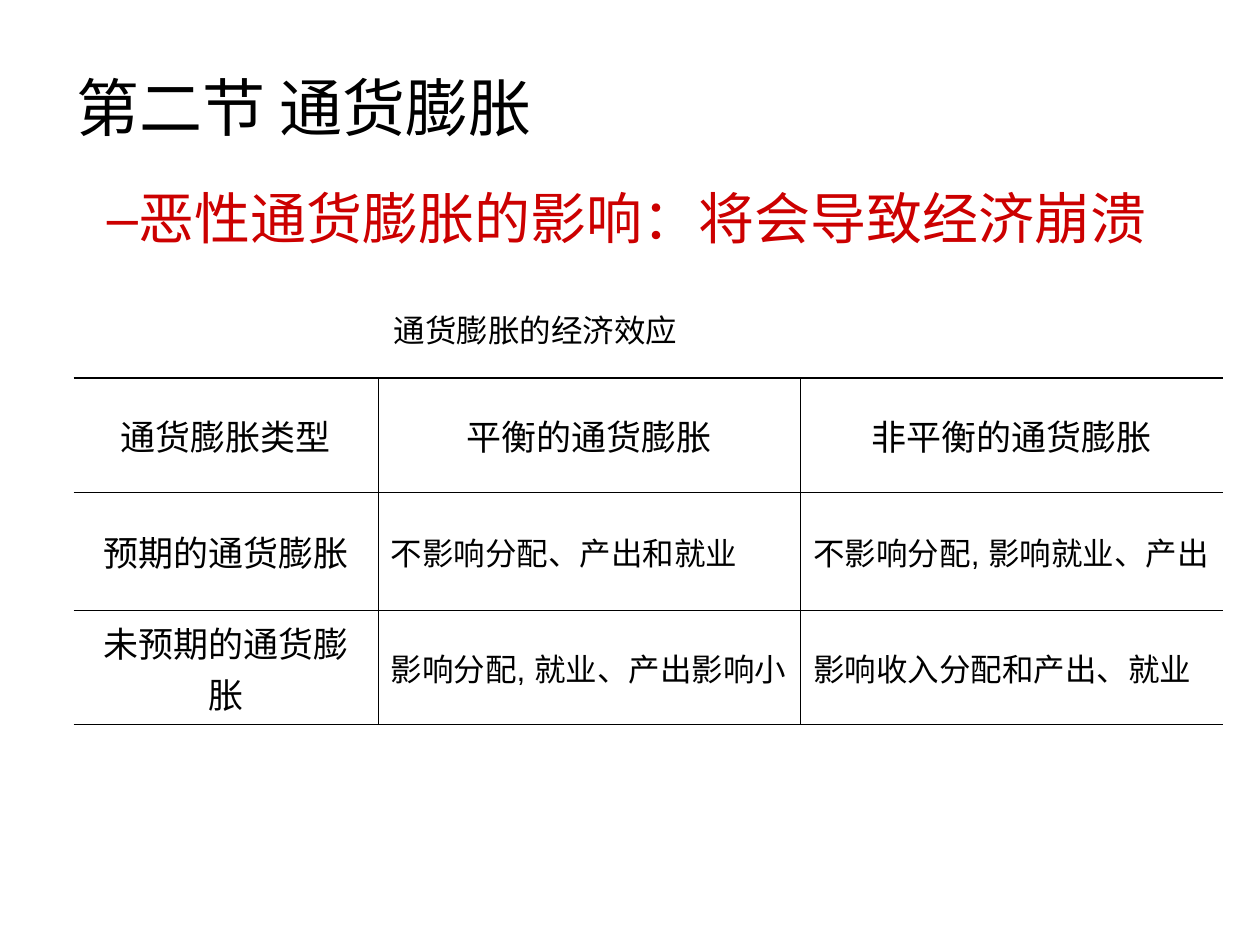
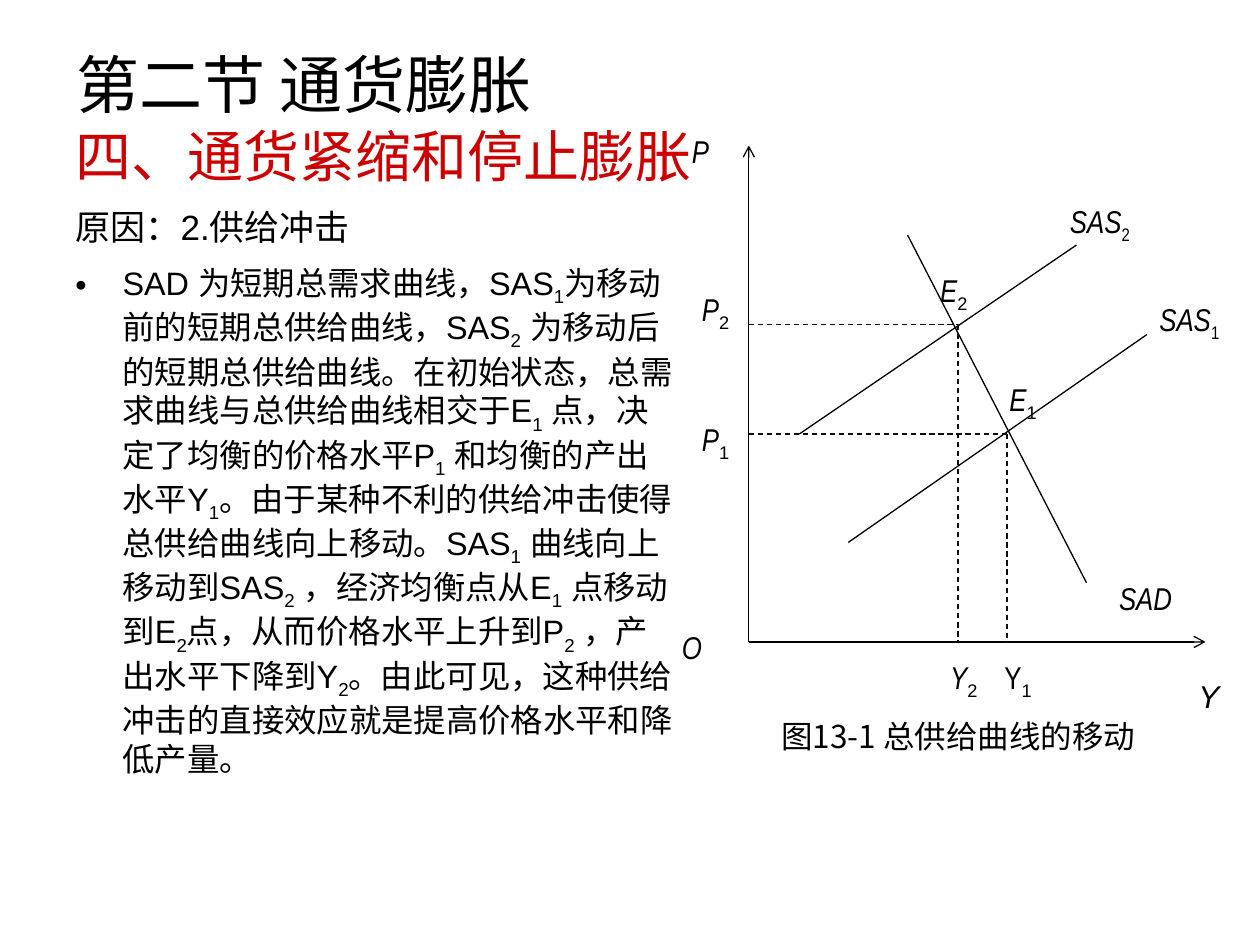
from lxml import etree
from pptx import Presentation
from pptx.dml.color import RGBColor
from pptx.enum.dml import MSO_LINE
from pptx.enum.shapes import MSO_CONNECTOR
from pptx.enum.text import MSO_ANCHOR, PP_ALIGN
from pptx.oxml.ns import qn
from pptx.util import Inches, Pt

MIDDLE, TOP = MSO_ANCHOR.MIDDLE, MSO_ANCHOR.TOP
LEFT, CENTER = PP_ALIGN.LEFT, PP_ALIGN.CENTER
STRAIGHT, DASH = MSO_CONNECTOR.STRAIGHT, MSO_LINE.DASH
ARIAL, NARROW, HAN = "Arial", "Arial Narrow", "Noto Sans CJK SC"
BLACK, RED, GREY = "000000", "CC0000", "0D0D0D"
COLS, ROWS = 100, 75  # slide grid, one unit is a tenth of an inch
THIN, THICK = 0.45, 1.08
TITLE = "第二节 通货膨胀"

HEADS = ["通货膨胀类型", "平衡的通货膨胀", "非平衡的通货膨胀"]
EFFECTS = [
    HEADS,
    ["预期的通货膨胀", "不影响分配、产出和就业", "不影响分配, 影响就业、产出"],
    ["未预期的通货膨胀", "影响分配, 就业、产出影响小", "影响收入分配和产出、就业"],
]
# Every second part between bars is a subscript.
CAUSE = (
    "SAD 为短期总需求曲线，SAS|1|为移动前的短期总供给曲线，SAS|2| 为移动后的"
    "短期总供给曲线。在初始状态，总需求曲线与总供给曲线相交于E|1| 点，决定了均衡的"
    "价格水平P|1| 和均衡的产出水平Y|1|。由于某种不利的供给冲击使得总供给曲线向上移动。"
    "SAS|1| 曲线向上移动到SAS|2| ，经济均衡点从E|1| 点移动到E|2|点，从而价格水平上升到"
    "P|2| ，产出水平下降到Y|2|。由此可见，这种供给冲击的直接效应就是提高价格水平和降低产量。"
)

# Distances right of and above the origin of the graph.
CURVES = [((7.9, 7.9), (31.6, 24.4)),
          ((12.6, 32.3), (26.8, 4.7)),
          ((4, 16.5), (26, 31.5))]
POINTS = [(16.6, 25.2), (20.5, 16.5)]
LABELS = [
    ("O", -6.3, 1.6, NARROW), ("P", -5.5, 41, NARROW),
    ("Y", 34.7, -2.3, ARIAL), ("SAD", 28.4, 5.5, NARROW),
    ("SAS|1", 31.6, 27.6, NARROW), ("SAS|2", 24.5, 35.4, NARROW),
    ("P|1", -4.7, 18.1, ARIAL), ("P|2", -4.7, 28.4, ARIAL),
    ("E|1", 19.7, 21.3, ARIAL), ("E|2", 14.2, 29.9, ARIAL),
    ("Y|2", 15, -0.8, ARIAL), ("Y|1", 19.3, -0.8, ARIAL),
]


def unit(n):
    return Inches(n / 10)


def color(text):
    return RGBColor.from_string(text)


def style(run, size, font, tint=BLACK, slant=False):
    run.font.size = Pt(size)
    run.font.name = font
    run.font.italic = slant
    run.font.color.rgb = color(tint)
    etree.SubElement(run._r.get_or_add_rPr(), qn("a:ea"), typeface=HAN)


def lower(run):
    run._r.get_or_add_rPr().set("baseline", "-25000")


def write(slide, box, text, size, font=ARIAL, tint=BLACK, anchor=TOP):
    """Add a text box and return its paragraph."""
    frame = slide.shapes.add_textbox(*map(unit, box)).text_frame
    frame.word_wrap = True
    frame.vertical_anchor = anchor
    para = frame.paragraphs[0]
    para.text = text
    for run in para.runs:
        style(run, size, font, tint)
    return para


def bullet(para, mark, tint, indent):
    props = para._p.get_or_add_pPr()
    props.set("marL", str(unit(indent)))
    props.set("indent", str(-unit(indent)))
    tone = etree.SubElement(props, qn("a:buClr"))
    etree.SubElement(tone, qn("a:srgbClr"), val=tint)
    etree.SubElement(props, qn("a:buFont"), typeface=ARIAL)
    etree.SubElement(props, qn("a:buChar"), char=mark)


def title(slide, top):
    write(slide, (5.1, top, 90, 9.4), TITLE, 36, HAN, anchor=MIDDLE)


def border(cell, side, width):
    props = cell._tc.get_or_add_tcPr()
    line = etree.SubElement(props, qn("a:ln" + side), w=str(Pt(width)))
    if width:
        fill = etree.SubElement(line, qn("a:solidFill"))
        etree.SubElement(fill, qn("a:srgbClr"), val=BLACK)
    else:
        etree.SubElement(line, qn("a:noFill"))


def grid(slide, box, rows, widths, heights):
    table = slide.shapes.add_table(
        len(rows), len(widths), *map(unit, box)).table
    for col, width in zip(table.columns, widths):
        col.width = unit(width)
    for row, height in zip(table.rows, heights):
        row.height = unit(height)
    last, end = len(rows) - 1, len(widths) - 1
    for r, texts in enumerate(rows):
        for c, text in enumerate(texts):
            cell = table.cell(r, c)
            border(cell, "L", THIN if c else 0)
            border(cell, "R", THIN if c < end else 0)
            border(cell, "T", THIN if r else THICK)
            border(cell, "B", THIN if r < last else THICK)
            cell.fill.background()
            cell.vertical_anchor = MIDDLE
            head = r == 0 or c == 0
            para = cell.text_frame.paragraphs[0]
            para.text = text
            para.alignment = CENTER if head else LEFT
            plain = head or "," in text
            style(para.runs[0], 20 if head else 18, ARIAL if plain else HAN)


def stroke(slide, start, end, tint=BLACK, dash=False, arrow=False):
    line = slide.shapes.add_connector(STRAIGHT, *map(unit, (*start, *end)))
    line.line.color.rgb = color(tint)
    line.line.width = Pt(0.75)
    if dash:
        line.line.dash_style = DASH
    if arrow:
        etree.SubElement(line.line._get_or_add_ln(), qn("a:tailEnd"),
                         type="arrow")
    etree.SubElement(line._element.spPr, qn("a:effectLst"))


def label(slide, box, text, font):
    """Write an italic name; font is that of a lone letter or an index."""
    name, *index = text.split("|")
    para = write(slide, box, name, 18, NARROW if index else font)
    para.runs[0].font.italic = text != "Y|1"
    for part in index:
        run = para.add_run()
        run.text = part
        style(run, 18, NARROW if name == "SAS" else font)
        lower(run)


def graph(slide, box):
    left, top, width, height = box

    def spot(x, y):
        return left + x, top + height - y

    for tip in ((width, 0), (0, height)):
        stroke(slide, spot(0, 0), spot(*tip), arrow=True)
    for start, end in CURVES:
        stroke(slide, spot(*start), spot(*end))
    for x, y in POINTS:
        for foot, end in (((0, y), (x, y)), ((x, y), (x, 0))):
            stroke(slide, spot(*foot), spot(*end), GREY, dash=True)
    for text, x, y, font in LABELS:
        wide = 9 if text.startswith("SA") else 4.7
        label(slide, (*spot(x, y), wide, 4.4), text, font)
    write(slide, (*spot(1.6, -5.5), 33.1, 4), "图13-1 总供给曲线的移动", 18, HAN)


def story(slide, box):
    para = write(slide, box, "", 18.5)
    bullet(para, "•", BLACK, 3.75)
    for i, part in enumerate(CAUSE.split("|")):
        run = para.add_run()
        run.text = part
        style(run, 18.5, ARIAL)
        if i % 2:
            lower(run)


def effects(slide):
    para = write(slide, (7.5, 14.65, 86, 8.7),
                 "恶性通货膨胀的影响：将会导致经济崩溃", 32, tint=RED)
    bullet(para, "–", RED, 2.5)
    para.line_spacing = 0.9
    grid(slide, (5.85, 30, 91.2, 27.5), EFFECTS,
         (24.15, 33.55, 33.5), (9.1, 9.35, 9.05))
    write(slide, (30.25, 24.2, 32, 4), "通货膨胀的经济效应", 18)
    title(slide, 3.7)


def shock(slide):
    title(slide, 1.9)
    write(slide, (5, 9, 60, 6.6), "四、通货紧缩和停止膨胀", 32, HAN, RED, MIDDLE)
    write(slide, (5, 14.7, 90, 6.6), "原因：2.供给冲击", 20, anchor=MIDDLE)
    story(slide, (5, 20.4, 50, 46.1))
    graph(slide, (59.43, 11.55, 36.25, 39.4))


def main():
    deck = Presentation()
    deck.slide_width, deck.slide_height = unit(COLS), unit(ROWS)
    for build in (effects, shock):
        build(deck.slides.add_slide(deck.slide_layouts[6]))
    deck.save("out.pptx")


if __name__ == "__main__":
    main()
